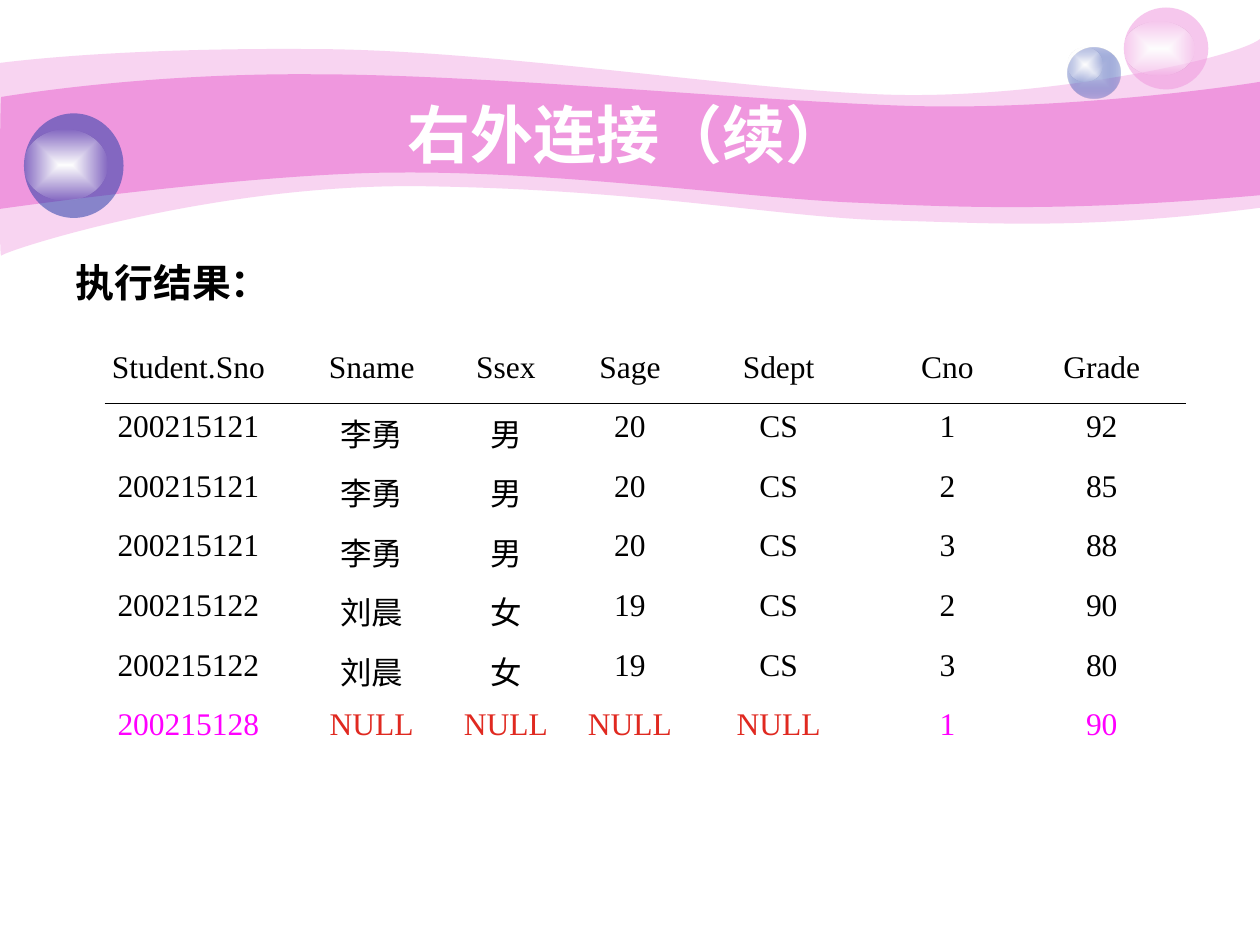
from itertools import chain

from lxml import etree
from pptx import Presentation
from pptx.dml.color import RGBColor
from pptx.enum.shapes import MSO_CONNECTOR, MSO_SHAPE
from pptx.enum.text import MSO_ANCHOR, MSO_AUTO_SIZE, PP_ALIGN
from pptx.oxml import parse_xml
from pptx.oxml.ns import qn
from pptx.util import Inches, Pt

DRAWING_NS = "http://schemas.openxmlformats.org/drawingml/2006/main"
NO_STYLE = "{2D5ABB26-0587-4C30-8999-92F81FD0307C}"
PINK, BLUE, WHITE, BLACK = "EF97DE", "233DA9", "FFFFFF", "000000"
MAGENTA, RED = "FF00FF", "E02920"
GLOW = [(0, WHITE, 100), (100, WHITE, 0)]

OUTER_WAVE = [
    (0, 0.5),
    [(0.24, 0.47), (1.07, 0.38), (2.47, 0.39)],
    [(3.86, 0.39), (5.75, 0.7), (6.99, 0.75)],
    [(8.22, 0.8), (9.8, 0.47), (10, 0.31)],
    [(10, 1.65)],
    [(8.58, 1.83), (7.87, 1.77), (7.05, 1.75)],
    [(6.22, 1.73), (5.15, 1.51), (3.43, 1.48)],
    [(1.72, 1.44), (0.04, 1.99), (0.01, 2.03)],
    [(-0.01, 2.08), (0, 0.75), (0, 0.5)],
]
INNER_WAVE = [
    (0.01, 0.77),
    [(0.02, 0.77), (1.1, 0.58), (2.48, 0.59)],
    [(3.86, 0.59), (5.95, 0.8), (7.18, 0.84)],
    [(8.41, 0.88), (9.76, 0.69), (10, 0.65)],
    [(10, 1.55)],
    [(8.53, 1.68), (7.65, 1.65), (6.82, 1.61)],
    [(5.99, 1.58), (4.47, 1.36), (3.17, 1.37)],
    [(2.03, 1.37), (-0.02, 1.66), (-0.01, 1.66)],
    [(0, 1.66), (0, 0.77), (0.01, 0.77)],
]
COLUMN_WIDTHS = [1.81, 1.1, 1.03, 0.94, 1.42, 1.26, 1.19]
RESULT_ROWS = [
    ["Student.Sno", "Sname", "Ssex", "Sage", "Sdept", "Cno", "Grade"],
    ["200215121", "李勇", "男", "20", "CS", "1", "92"],
    ["200215121", "李勇", "男", "20", "CS", "2", "85"],
    ["200215121", "李勇", "男", "20", "CS", "3", "88"],
    ["200215122", "刘晨", "女", "19", "CS", "2", "90"],
    ["200215122", "刘晨", "女", "19", "CS", "3", "80"],
    ["200215128", "NULL", "NULL", "NULL", "NULL", "1", "90"],
    [""] * 7,
]


def color(value):
    """Turn a hex string into a colour."""
    return RGBColor.from_string(value)


def fill_solid(shape, value, opacity=100):
    """Fill a shape with one colour, without line or shadow."""
    shape.shadow.inherit = False
    shape.line.fill.background()
    shape.fill.solid()
    shape.fill.fore_color.rgb = color(value)
    if opacity < 100:
        target = shape.element.spPr.find(qn("a:solidFill"))[0]
        etree.SubElement(target, qn("a:alpha"), val=str(opacity * 1000))


def fill_radial(shape, stops):
    """Fill a shape with a gradient that spreads from its centre."""
    fill_solid(shape, WHITE)
    stop_xml = "".join(
        f'<a:gs pos="{position * 1000}"><a:srgbClr val="{value}">'
        f'<a:alpha val="{opacity * 1000}"/></a:srgbClr></a:gs>'
        for position, value, opacity in stops
    )
    gradient = parse_xml(
        f'<a:gradFill xmlns:a="{DRAWING_NS}" rotWithShape="1"><a:gsLst>{stop_xml}</a:gsLst>'
        '<a:path path="rect"><a:fillToRect l="50000" t="50000" r="50000" b="50000"/>'
        "</a:path></a:gradFill>"
    )
    properties = shape.element.spPr
    properties.replace(properties.find(qn("a:solidFill")), gradient)


def bend_edges(shape, segments):
    """Join each run of three control points into one cubic curve."""
    edges = iter(list(shape.element.spPr.iter(qn("a:lnTo"))))
    for controls in segments:
        first, *others = [next(edges) for _ in controls]
        if others:
            curve = etree.Element(qn("a:cubicBezTo"))
            first.addprevious(curve)
            for edge in (first, *others):
                curve.append(edge[0])
                edge.getparent().remove(edge)


def add_wave(slide, outline, opacity):
    """Draw a pink wave band with curved edges."""
    start, *segments = outline
    builder = slide.shapes.build_freeform(Inches(start[0]), Inches(start[1]))
    builder.add_line_segments(
        [(Inches(x), Inches(y)) for x, y in chain.from_iterable(segments)], close=True)
    wave = builder.convert_to_shape()
    bend_edges(wave, segments)
    fill_solid(wave, PINK, opacity)


def add_orb(slide, ball_box, glow_box):
    """Group a ball with its glow and return the ball."""
    group = slide.shapes.add_group_shape()
    ball, glow = [
        group.shapes.add_shape(MSO_SHAPE.OVAL, *map(Inches, box)) for box in (ball_box, glow_box)
    ]
    fill_radial(glow, GLOW)
    return ball


def format_paragraph(paragraph, font_name, size, value, bold, alignment):
    """Set the font and alignment of a paragraph."""
    paragraph.alignment = alignment
    font = paragraph.font
    font.name, font.size, font.bold = font_name, Pt(size), bold
    font.color.rgb = color(value)


def set_placeholder(slide, index, text, box, size, value, alignment, anchor):
    """Move a placeholder to the front, then place and format its text."""
    placeholder = slide.placeholders[index]
    slide.shapes.element.append(placeholder.element)
    placeholder.left, placeholder.top, placeholder.width, placeholder.height = map(Inches, box)
    frame = placeholder.text_frame
    frame.text = text
    frame.auto_size = MSO_AUTO_SIZE.NONE
    frame.vertical_anchor = anchor
    paragraph = frame.paragraphs[0]
    properties = paragraph._p.get_or_add_pPr()
    properties.set("marL", "0")
    properties.set("indent", "0")
    etree.SubElement(properties, qn("a:buNone"))
    paragraph.space_before = Pt(0)
    format_paragraph(paragraph, "Arial", size, value, True, alignment)


def result_color(text, row):
    """Choose the text colour of a result cell."""
    if text == "NULL":
        return RED
    return MAGENTA if row[0] == "200215128" else BLACK


def add_result_table(slide):
    """Add the query result as a plain table."""
    table = slide.shapes.add_table(
        len(RESULT_ROWS), len(COLUMN_WIDTHS),
        Inches(0.59), Inches(2.73), Inches(sum(COLUMN_WIDTHS)), Inches(3.78),
    ).table
    table.first_row = table.horz_banding = False
    table._tbl.tblPr.find(qn("a:tableStyleId")).text = NO_STYLE
    for column, width in zip(table.columns, COLUMN_WIDTHS):
        column.width = Inches(width)
    for row_index, row in enumerate(RESULT_ROWS):
        for column_index, text in enumerate(row):
            cell = table.cell(row_index, column_index)
            cell.fill.background()
            if text:
                cell.text = text
                format_paragraph(cell.text_frame.paragraphs[0], "Times New Roman", 18,
                                 result_color(text, row), False, PP_ALIGN.CENTER)


def add_rule(slide, left, right, top):
    """Draw a thin horizontal line."""
    rule = slide.shapes.add_connector(
        MSO_CONNECTOR.STRAIGHT, Inches(left), Inches(top), Inches(right), Inches(top))
    rule.line.color.rgb = color(BLACK)
    rule.line.width = Pt(0.75)
    etree.SubElement(rule.element.spPr, qn("a:effectLst"))


def main():
    """Build the slide and save it."""
    presentation = Presentation()
    presentation.slide_width, presentation.slide_height = Inches(10), Inches(7.5)
    slide = presentation.slides.add_slide(presentation.slide_layouts[1])
    add_wave(slide, OUTER_WAVE, 41)
    add_wave(slide, INNER_WAVE, 100)
    small_orb = add_orb(slide, (8.47, 0.38, 0.42, 0.4), (8.47, 0.38, 0.28, 0.27))
    fill_radial(small_orb, [(0, "C7CEE9", 100), (100, BLUE, 31)])
    pink_orb = add_orb(slide, (8.92, 0.06, 0.67, 0.65), (8.92, 0.17, 0.56, 0.43))
    fill_solid(pink_orb, PINK, 53)
    blue_orb = add_orb(slide, (0.19, 0.9, 0.79, 0.83), (0.19, 1.03, 0.66, 0.56))
    fill_solid(blue_orb, BLUE, 53)
    set_placeholder(slide, 0, "右外连接（续） ", (1, 0.75, 8.08, 0.62), 36, WHITE,
                    PP_ALIGN.CENTER, MSO_ANCHOR.MIDDLE)
    set_placeholder(slide, 1, "执行结果： ", (0.5, 2, 4.42, 0.49), 22.2, BLACK,
                    PP_ALIGN.JUSTIFY, MSO_ANCHOR.TOP)
    add_result_table(slide)
    add_rule(slide, 0.83, 9.41, 3.2)
    presentation.save("out.pptx")


if __name__ == "__main__":
    main()
